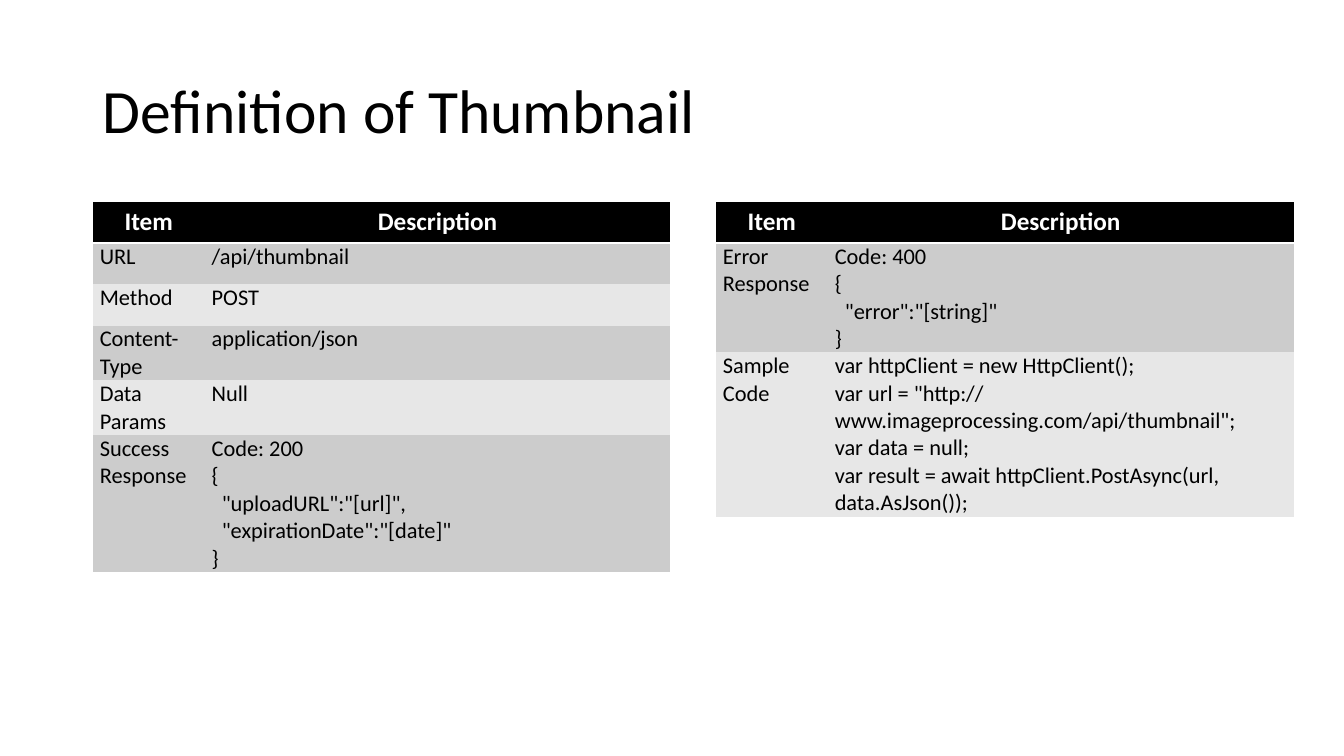
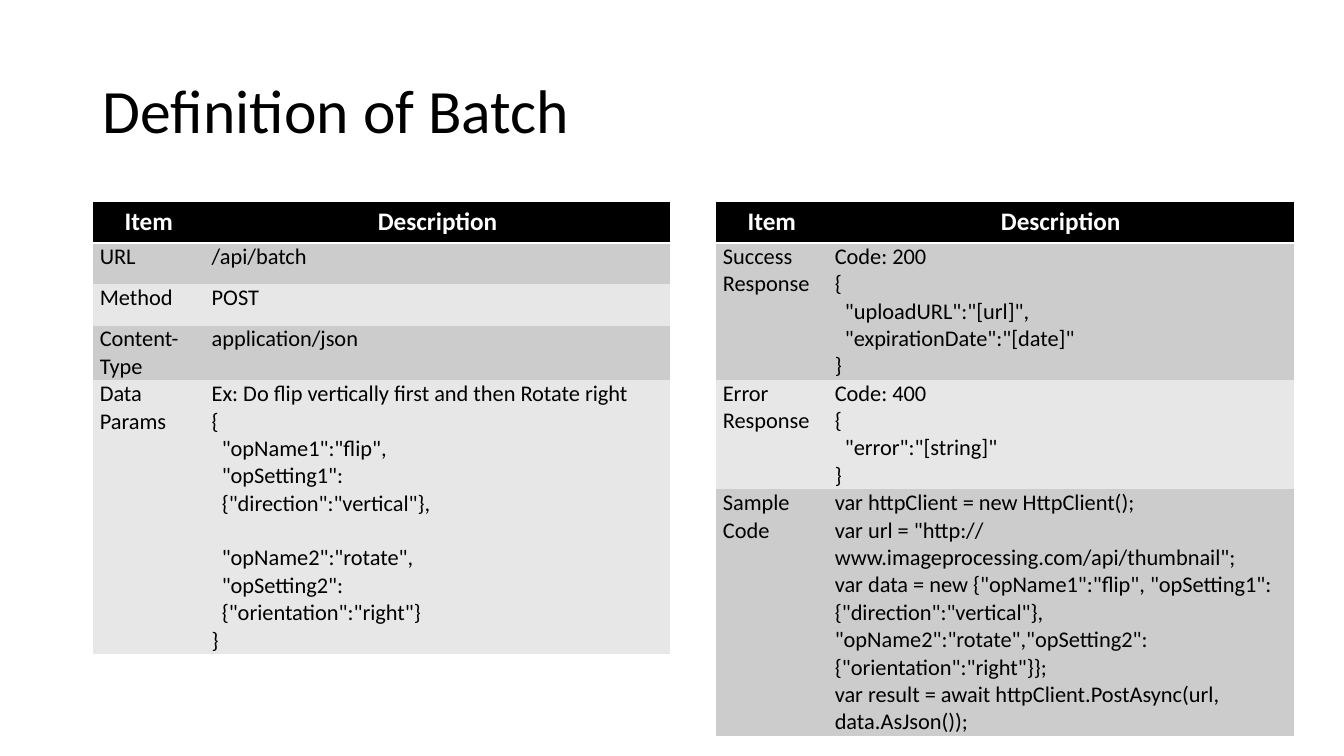
import pptx
import pptx.util
import pptx.dml.color
import pptx.enum.text
import pptx.oxml
import pptx.oxml.ns
from pptx.util import Inches

FONT = "Calibri"
COLORS = {
    "ink": "000000",
    "paper": "FFFFFF",
    "odd": "CCCCCC",
    "even": "E7E7E7",
}
TABLE_LEFTS = (0.92, 7.1)
TABLE_TOP = 2
COLUMN_WIDTHS = (1.11, 4.62)
ROW_HEIGHT = 0.41
CELL_INSET = 0.07
SPACE_WIDTH = 0.05
BODY_LINE = 19.5
PLAIN_TABLE_STYLE = "{2D5ABB26-0587-4C30-8999-92F81FD0307C}"

SUCCESS = ("Success Response", """Code: 200
{
  "uploadURL":"[url]",
  "expirationDate":"[date]"
}""")
ERROR = ("Error Response", """Code: 400
{
  "error":"[string]"
}""")
BATCH_PARAMS = """Ex: Do flip vertically first and then Rotate right
{
  "opName1":"flip",
  "opSetting1":
  {"direction":"vertical"},

  "opName2":"rotate",
  "opSetting2":
  {"orientation":"right"}
}"""
BATCH_DATA = (
    'new {"opName1":"flip", "opSetting1":{"direction":"vertical"}, '
    '"opName2":"rotate","opSetting2":{"orientation":"right"}}'
)


def request_rows(url, params):
    return [
        ("URL", url),
        ("Method", "POST"),
        ("Content-Type", "application/json"),
        ("Data Params", params),
    ]


def sample_row(data):
    return ("Sample Code", f"""var httpClient = new HttpClient();
var url = "http:// www.imageprocessing.com/api/thumbnail";
var data = {data};
var result = await httpClient.PostAsync(url, data.AsJson());""")


def rgb(name):
    return pptx.dml.color.RGBColor.from_string(COLORS[name])


def style_paragraph(p, size, color, align, bold=False):
    p.alignment = align
    p.font.name = FONT
    p.font.size = pptx.util.Pt(size)
    p.font.bold = bold
    p.font.color.rgb = rgb(color)


def fill_cell(cell, color):
    cell.fill.solid()
    cell.fill.fore_color.rgb = rgb(color)


def add_bottom_border(cell, color, width):
    ns = pptx.oxml.ns.nsdecls("a")
    line = pptx.oxml.parse_xml(
        f'<a:lnB {ns} w="{pptx.util.Pt(width)}"><a:solidFill>'
        f'<a:srgbClr val="{COLORS[color]}"/></a:solidFill></a:lnB>'
    )
    cell._tc.get_or_add_tcPr().insert(0, line)


def write_header(cell, text):
    fill_cell(cell, "ink")
    add_bottom_border(cell, "paper", 2)
    cell.text = text
    style_paragraph(cell.text_frame.paragraphs[0], 18, "paper",
                    pptx.enum.text.PP_ALIGN.CENTER, bold=True)


def write_body(cell, text, color):
    fill_cell(cell, color)
    cell.margin_left = cell.margin_right = Inches(CELL_INSET)
    cell.margin_top = cell.margin_bottom = 0
    tf = cell.text_frame
    p = tf.paragraphs[0]
    after_gap = False
    for i, line in enumerate(text.split("\n")):
        if not line:
            after_gap = True
            continue
        if i:
            p = tf.add_paragraph()
        p.text = line.lstrip()
        style_paragraph(p, 16, "ink", pptx.enum.text.PP_ALIGN.LEFT)
        indent = len(line) - len(p.text)
        if indent:
            p._p.get_or_add_pPr().set("marL", str(Inches(indent * SPACE_WIDTH)))
        if after_gap:
            p.space_before = pptx.util.Pt(BODY_LINE)
            after_gap = False


def add_definition_table(s, left, rows):
    count = len(rows) + 1
    frame = s.shapes.add_table(
        count, len(COLUMN_WIDTHS), Inches(left), Inches(TABLE_TOP),
        Inches(sum(COLUMN_WIDTHS)), Inches(count * ROW_HEIGHT))
    table = frame.table
    table._tbl.tblPr.find(pptx.oxml.ns.qn("a:tableStyleId")).text = PLAIN_TABLE_STYLE
    for column, width in zip(table.columns, COLUMN_WIDTHS):
        column.width = Inches(width)
    for c, text in enumerate(("Item", "Description")):
        write_header(table.cell(0, c), text)
    for r, row in enumerate(rows, 1):
        for c, text in enumerate(row):
            write_body(table.cell(r, c), text, "odd" if r % 2 else "even")


def set_title(s, text):
    title = s.shapes.title
    title.left, title.top = Inches(0.92), Inches(0.4)
    title.width, title.height = Inches(11.5), Inches(1.45)
    tf = title.text_frame
    tf.text = text
    tf.auto_size = pptx.enum.text.MSO_AUTO_SIZE.NONE
    tf.vertical_anchor = pptx.enum.text.MSO_ANCHOR.MIDDLE
    p = tf.paragraphs[0]
    p.line_spacing = 0.9
    style_paragraph(p, 44, "ink", pptx.enum.text.PP_ALIGN.LEFT)


def add_definition_slide(prs, name, *tables):
    s = prs.slides.add_slide(prs.slide_layouts.get_by_name("Title Only"))
    set_title(s, f"Definition of {name}")
    for left, rows in zip(TABLE_LEFTS, tables):
        add_definition_table(s, left, rows)


def main():
    prs = pptx.Presentation()
    prs.slide_width, prs.slide_height = Inches(13.33), Inches(7.5)
    add_definition_slide(
        prs, "Thumbnail",
        request_rows("/api/thumbnail", "Null") + [SUCCESS],
        [ERROR, sample_row("null")])
    add_definition_slide(
        prs, "Batch",
        request_rows("/api/batch", BATCH_PARAMS),
        [SUCCESS, ERROR, sample_row(BATCH_DATA)])
    prs.save("out.pptx")


if __name__ == "__main__":
    main()
